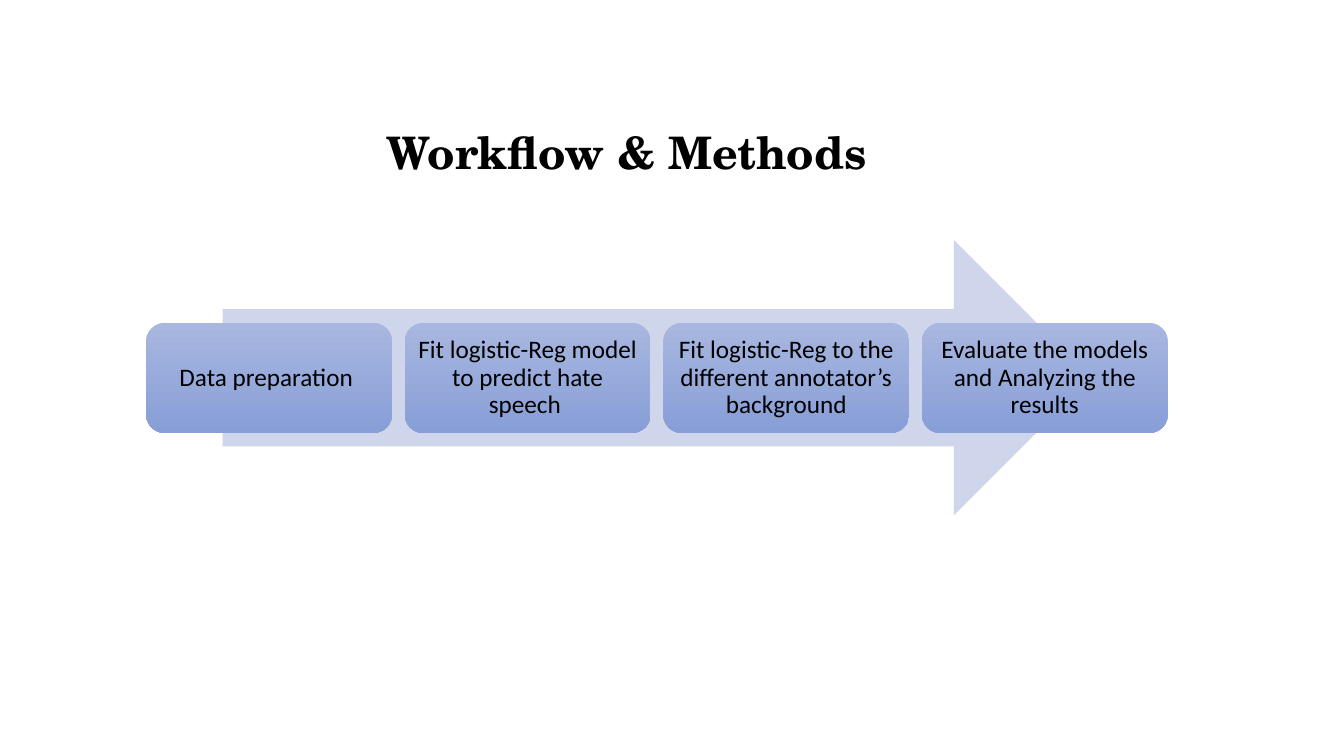
from pptx import Presentation
from pptx import util as u
from pptx.dml.color import RGBColor
from pptx.enum import shapes, text

BLACK = RGBColor(0x00, 0x00, 0x00)
ARROW = RGBColor(0xCF, 0xD5, 0xEA)
STEP_TOP = RGBColor(0xA8, 0xB7, 0xDF)
STEP_BOTTOM = RGBColor(0x88, 0x9E, 0xD7)

TITLE_FONT = {"name": "TeX Gyre Schola", "size": u.Pt(32), "bold": True}
STEP_FONT = {"name": "Calibri", "size": u.Pt(18), "bold": False}
STEPS = [
    "Data preparation ",
    "Fit logistic-Reg model to predict hate speech ",
    "Fit logistic-Reg to the different annotator’s background",
    "Evaluate the models and Analyzing the results",
]
STEP_LEFT, STEP_TOP_Y, STEP_W, STEP_H, STEP_GAP = 104.4, 230.6, 175.6, 78.6, 9.1


def write(sp, words, fmt, spacing):
    tf = sp.text_frame
    tf.word_wrap = True
    p = tf.paragraphs[0]
    p.alignment = text.PP_ALIGN.CENTER
    p.line_spacing = spacing
    r = p.add_run()
    r.text = words
    for key, value in fmt.items():
        setattr(r.font, key, value)
    r.font.color.rgb = BLACK
    return tf


def add_block(kind, left, top, width, height):
    sp = s.shapes.add_shape(kind, u.Pt(left), u.Pt(top), u.Pt(width), u.Pt(height))
    sp.shadow.inherit = False
    sp.line.fill.background()
    return sp


prs = Presentation()
prs.slide_width, prs.slide_height = u.Pt(960), u.Pt(540)
s = prs.slides.add_slide(prs.slide_layouts[6])

title = s.shapes.add_textbox(u.Pt(235.4), u.Pt(66.2), u.Pt(424.8), u.Pt(59))
write(title, "Workflow & Methods", TITLE_FONT, 1.5)

arrow = add_block(shapes.MSO_SHAPE.RIGHT_ARROW, 159, 171.5, 620.7, 196.6)
arrow.fill.solid()
arrow.fill.fore_color.rgb = ARROW

for i, words in enumerate(STEPS):
    left = STEP_LEFT + i * (STEP_W + STEP_GAP)
    sp = add_block(shapes.MSO_SHAPE.ROUNDED_RECTANGLE, left, STEP_TOP_Y, STEP_W, STEP_H)
    sp.fill.gradient()
    sp.fill.gradient_angle = 270
    for stop, position, colour in zip(sp.fill.gradient_stops, (0, 1), (STEP_TOP, STEP_BOTTOM)):
        stop.position = position
        stop.color.rgb = colour
    tf = write(sp, words, STEP_FONT, 0.9)
    tf.vertical_anchor = text.MSO_ANCHOR.MIDDLE
    for side in ("left", "right", "top", "bottom"):
        setattr(tf, f"margin_{side}", u.Pt(5))

prs.save("out.pptx")
